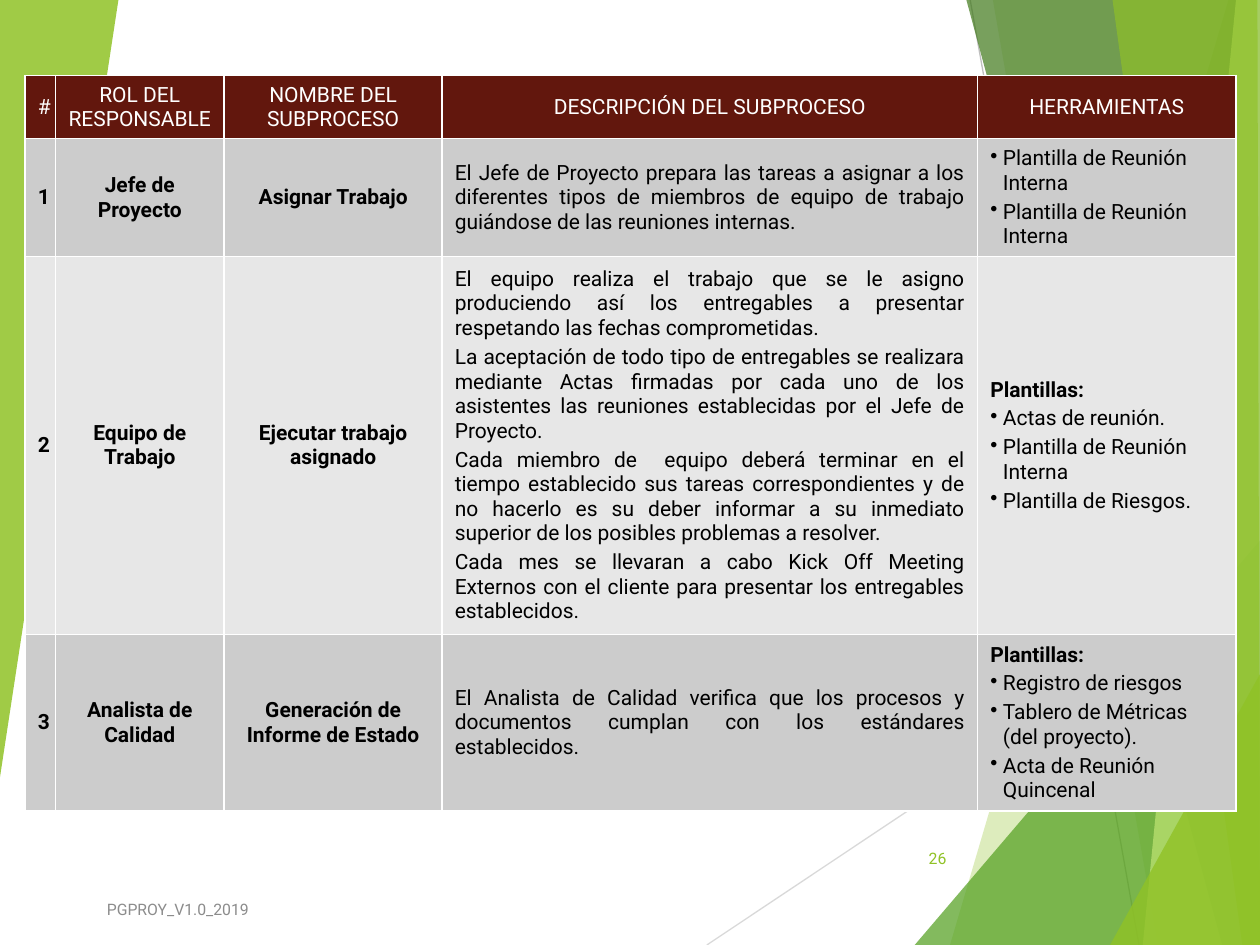
from lxml.etree import SubElement
from pptx import Presentation
from pptx.dml.color import RGBColor
from pptx.enum.shapes import MSO_CONNECTOR
from pptx.enum.text import MSO_ANCHOR, PP_ALIGN
from pptx.oxml.ns import qn
from pptx.util import Inches, Pt

WIDTH, HEIGHT = 10, 7.5
FONT = "Roboto"
GREEN, WHITE, BLACK = "90C226", "FFFFFF", "000000"
HEADER_FILL, BAND_FILLS = "62170D", ("CCCCCC", "E7E7E7")

LINES = [
    ((5.61, HEIGHT), (WIDTH, 4.57), "D9D9D9"),
    ((7.7, 0), (9.04, HEIGHT), "BFBFBF"),
]
FACETS = [
    (GREEN, 30, [(9.75, 0), (7.54, HEIGHT), (WIDTH, HEIGHT), (WIDTH, 0)]),
    (GREEN, 20, [(7.88, 0), (9.19, HEIGHT), (WIDTH, HEIGHT), (WIDTH, 0)]),
    ("54A021", 72, [(7.26, HEIGHT), (WIDTH, 4.29), (WIDTH, HEIGHT)]),
    ("3F7819", 70, [(7.67, 0), (9.7, HEIGHT), (WIDTH, HEIGHT), (WIDTH, 0)]),
    ("C0E474", 70, [(9.81, 0), (9.07, HEIGHT), (WIDTH, HEIGHT), (WIDTH, 0)]),
    (GREEN, 65, [(8.83, 0), (9.86, HEIGHT), (WIDTH, HEIGHT), (9.98, 0)]),
    (GREEN, 80, [(8.81, HEIGHT), (WIDTH, 5.35), (WIDTH, HEIGHT)]),
    (GREEN, 85, [(0, 0), (0.94, 0), (0, 6.17)]),
]

TABLE_LEFT, TABLE_TOP = 0.2, 0.6
COLUMNS = [0.24, 1.34, 1.73, 4.25, 2.05]
ROWS = [0.49, 0.91, 2.94, 1.37]
HEADERS = ["#", "ROL DEL RESPONSABLE", "NOMBRE DEL SUBPROCESO",
           "DESCRIPCIÓN DEL SUBPROCESO", "HERRAMIENTAS"]
PROCESSES = [
    {
        "role": "Jefe de Proyecto",
        "name": "Asignar Trabajo",
        "description": [
            "El Jefe de Proyecto prepara las tareas a asignar a los diferentes tipos de "
            "miembros de equipo de trabajo guiándose de las reuniones internas.",
        ],
        "heading": [],
        "tools": ["Plantilla de Reunión Interna", "Plantilla de Reunión Interna"],
    },
    {
        "role": "Equipo de Trabajo",
        "name": "Ejecutar trabajo asignado",
        "description": [
            "El equipo realiza el trabajo que se le asigno produciendo así los entregables "
            "a presentar respetando las fechas comprometidas.",
            "La aceptación de todo tipo de entregables se realizara mediante Actas firmadas "
            "por cada uno de los asistentes las reuniones establecidas por el Jefe de Proyecto.",
            "Cada miembro de  equipo deberá terminar en el tiempo establecido sus tareas "
            "correspondientes y de no hacerlo es su deber informar a su inmediato superior "
            "de los posibles problemas a resolver.",
            "Cada mes se llevaran a cabo Kick Off Meeting Externos con el cliente para "
            "presentar los entregables establecidos.",
        ],
        "heading": ["Plantillas:"],
        "tools": ["Actas de reunión.", "Plantilla de Reunión Interna", "Plantilla de Riesgos."],
    },
    {
        "role": "Analista de Calidad",
        "name": "Generación de Informe de Estado",
        "description": [
            "El Analista de Calidad verifica que los procesos y documentos cumplan con los "
            "estándares establecidos.",
        ],
        "heading": ["Plantillas:"],
        "tools": ["Registro de riesgos", "Tablero de Métricas (del proyecto).",
                  "Acta de Reunión Quincenal"],
    },
]
FOOTERS = [
    ("PGPROY_V1.0_2019", (0.75, 7.02, 3.96, 0.4), "8C8C8C", PP_ALIGN.LEFT),
    ("26", (7.05, 6.61, 0.56, 0.4), GREEN, PP_ALIGN.RIGHT),
]


def color(value):
    """Turn a hex string into a colour."""
    return RGBColor.from_string(value)


def write(frame, text, size=12, fill=BLACK, bold=False, align=PP_ALIGN.LEFT, bullet=False):
    """Add one formatted paragraph to a text frame."""
    paragraph = frame.paragraphs[0]
    if paragraph.runs:
        paragraph = frame.add_paragraph()
        paragraph.space_before = Pt(2.4)
    paragraph.alignment = align
    if bullet:
        properties = paragraph._p.get_or_add_pPr()
        properties.set("marL", str(Inches(0.1)))
        properties.set("indent", str(Inches(-0.1)))
        SubElement(properties, qn("a:buChar")).set("char", "•")
    run = paragraph.add_run()
    run.text = text
    run.font.name, run.font.size, run.font.bold = FONT, Pt(size), bold
    run.font.color.rgb = color(fill)


def add_line(slide, start, end, stroke):
    """Draw a thin straight line without a shadow."""
    points = [Inches(value) for value in (*start, *end)]
    connector = slide.shapes.add_connector(MSO_CONNECTOR.STRAIGHT, *points)
    connector.line.color.rgb = color(stroke)
    connector.line.width = Pt(0.75)
    SubElement(connector._element.spPr, qn("a:effectLst"))


def add_facet(slide, fill, opacity, points):
    """Draw a translucent polygon."""
    corners = [(Inches(x), Inches(y)) for x, y in points]
    builder = slide.shapes.build_freeform(*corners[0])
    builder.add_line_segments(corners[1:], close=True)
    shape = builder.convert_to_shape()
    shape.shadow.inherit = False
    shape.fill.solid()
    shape.fill.fore_color.rgb = color(fill)
    shape.line.fill.background()
    tint = shape._element.spPr.find(qn("a:solidFill"))[0]
    SubElement(tint, qn("a:alpha")).set("val", str(opacity * 1000))


def style_cell(cell, fill):
    """Give a cell white borders, a fill and centred anchoring."""
    properties = cell._tc.get_or_add_tcPr()
    for side in ("lnL", "lnR", "lnT", "lnB"):
        border = SubElement(properties, qn(f"a:{side}"), w=str(Pt(1)))
        SubElement(SubElement(border, qn("a:solidFill")), qn("a:srgbClr"), val=WHITE)
    cell.fill.solid()
    cell.fill.fore_color.rgb = color(fill)
    cell.vertical_anchor = MSO_ANCHOR.MIDDLE
    cell.margin_left = cell.margin_right = Inches(0.1)
    cell.margin_top = cell.margin_bottom = Inches(0.05)


def add_process_table(slide):
    """Build the table of subprocesses."""
    area = (TABLE_LEFT, TABLE_TOP, sum(COLUMNS), sum(ROWS))
    table = slide.shapes.add_table(len(ROWS), len(COLUMNS), *map(Inches, area)).table
    table.first_row = table.horz_banding = False
    for column, width in zip(table.columns, COLUMNS):
        column.width = Inches(width)
    for row, height in zip(table.rows, ROWS):
        row.height = Inches(height)
    for cell, header in zip(table.rows[0].cells, HEADERS):
        style_cell(cell, HEADER_FILL)
        write(cell.text_frame, header, fill=WHITE, align=PP_ALIGN.CENTER)
    for number, process in enumerate(PROCESSES, 1):
        cells = list(table.rows[number].cells)
        for cell in cells:
            style_cell(cell, BAND_FILLS[(number - 1) % 2])
        for cell, text in zip(cells, (str(number), process["role"], process["name"])):
            write(cell.text_frame, text, bold=True, align=PP_ALIGN.CENTER)
        description, tools = (cell.text_frame for cell in cells[3:])
        for text in process["description"]:
            write(description, text, align=PP_ALIGN.JUSTIFY)
        for text in process["heading"]:
            write(tools, text, bold=True, align=PP_ALIGN.JUSTIFY)
        for text in process["tools"]:
            write(tools, text, bullet=True)


def main():
    """Build and save the slide."""
    presentation = Presentation()
    presentation.slide_width, presentation.slide_height = Inches(WIDTH), Inches(HEIGHT)
    slide = presentation.slides.add_slide(presentation.slide_layouts[6])
    for line in LINES:
        add_line(slide, *line)
    for facet in FACETS:
        add_facet(slide, *facet)
    for text, area, fill, align in FOOTERS:
        frame = slide.shapes.add_textbox(*map(Inches, area)).text_frame
        frame.word_wrap = True
        frame.vertical_anchor = MSO_ANCHOR.MIDDLE
        write(frame, text, size=9, fill=fill, align=align)
    add_process_table(slide)
    presentation.save("out.pptx")


if __name__ == "__main__":
    main()
